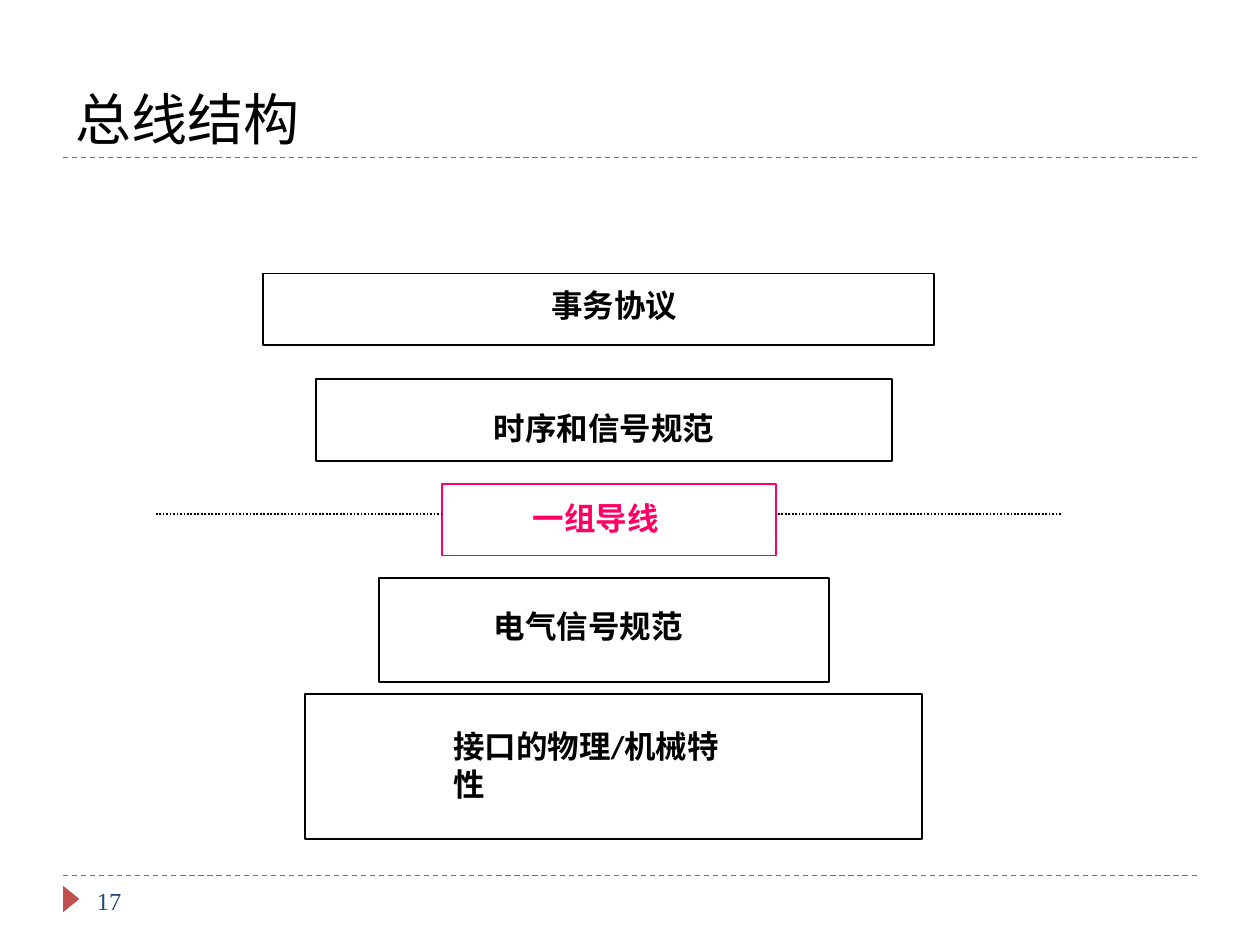
import pptx
import pptx.dml.color
import pptx.enum.dml
import pptx.enum.shapes
import pptx.enum.text
import pptx.oxml
import pptx.oxml.ns
import pptx.util
from dataclasses import dataclass

COLORS = {"black": "000000", "pink": "FF0066", "red": "C0504D", "navy": "1F497D"}
COLUMNS, ROWS = 100, 75
CELL = pptx.util.Inches(0.1)

ANCHOR = pptx.enum.text.MSO_ANCHOR
ALIGN = pptx.enum.text.PP_ALIGN
DASH = pptx.enum.dml.MSO_LINE
SHAPE = pptx.enum.shapes.MSO_SHAPE


@dataclass
class Area:
    """A rectangle in grid columns and rows."""
    column: float
    row: float
    width: float
    height: float

    def lengths(self) -> list[int]:
        return [grid(value) for value in (self.column, self.row, self.width, self.height)]


@dataclass
class Layer:
    """One layer of the bus structure: an outlined box and its label."""
    text: str
    box: Area
    label: Area
    color: str = "black"
    align: ALIGN = ALIGN.LEFT
    wrap: bool = False


@dataclass
class Rule:
    """A horizontal dashed line."""
    start: float
    end: float
    row: float
    color: str
    weight: float
    dash: DASH


LABEL_HEIGHT = 4
LAYERS = [
    Layer("事务协议", Area(20.9, 21.7, 53.2, 5.7), Area(31.5, 22.2, 34.5, LABEL_HEIGHT),
          align=ALIGN.CENTER, wrap=True),
    Layer("时序和信号规范", Area(25.1, 30.1, 45.7, 6.5), Area(38.2, 32, 19.5, LABEL_HEIGHT)),
    Layer("一组导线", Area(35.1, 38.4, 26.5, 5.7), Area(41.3, 39.1, 12, LABEL_HEIGHT), "pink"),
    Layer("电气信号规范", Area(30.1, 45.9, 35.7, 8.2), Area(38.2, 47.7, 17, LABEL_HEIGHT)),
    Layer("接口的物理/机械特性", Area(24.2, 55.1, 49, 11.5), Area(35, 57.2, 25.2, LABEL_HEIGHT),
          wrap=True),
]
RULES = [
    Rule(5, 95, 12.5, "red", 0.75, DASH.DASH),
    Rule(5, 95, 69.5, "red", 0.75, DASH.DASH),
    Rule(35.1, 12.4, 40.8, "black", 1, DASH.ROUND_DOT),
    Rule(84.2, 61.6, 40.8, "black", 1, DASH.ROUND_DOT),
]


def grid(value: float) -> int:
    return round(value * CELL)


def rgb(name: str) -> pptx.dml.color.RGBColor:
    return pptx.dml.color.RGBColor.from_string(COLORS[name])


def set_attributes(target: object, values: dict) -> None:
    for name, value in values.items():
        setattr(target, name, value)


def add_text(slide, area: Area, text: str, size: float, color: str = "black",
             font: str = "Calibri", bold: bool = False, align: ALIGN = ALIGN.LEFT,
             anchor: ANCHOR = ANCHOR.TOP, wrap: bool = True) -> None:
    frame = slide.shapes.add_textbox(*area.lengths()).text_frame
    set_attributes(frame, {"word_wrap": wrap, "vertical_anchor": anchor})
    paragraph = frame.paragraphs[0]
    paragraph.alignment = align
    run = paragraph.add_run()
    run.text = text
    set_attributes(run.font, {"name": font, "size": pptx.util.Pt(size), "bold": bold})
    run.font.color.rgb = rgb(color)


def add_rule(slide, rule: Rule) -> None:
    connector = slide.shapes.add_connector(
        pptx.enum.shapes.MSO_CONNECTOR.STRAIGHT,
        grid(rule.start), grid(rule.row), grid(rule.end), grid(rule.row))
    set_attributes(connector.line, {"width": pptx.util.Pt(rule.weight), "dash_style": rule.dash})
    connector.line.color.rgb = rgb(rule.color)
    properties = connector.element.spPr
    properties.append(pptx.oxml.parse_xml(
        f"<a:effectLst {pptx.oxml.ns.nsdecls('a')}/>"))


def add_layer(slide, layer: Layer) -> None:
    add_text(slide, layer.label, layer.text, 18, layer.color, bold=True,
             align=layer.align, wrap=layer.wrap)
    box = slide.shapes.add_shape(SHAPE.RECTANGLE, *layer.box.lengths())
    box.shadow.inherit = False
    box.fill.background()
    box.line.width = pptx.util.Pt(1)
    box.line.color.rgb = rgb(layer.color)


def add_page_marker(slide) -> None:
    marker = slide.shapes.add_shape(SHAPE.ISOSCELES_TRIANGLE,
                                    *Area(4.6, 70.7, 2.1, 1.3).lengths())
    marker.rotation = 90
    marker.shadow.inherit = False
    marker.fill.solid()
    marker.fill.fore_color.rgb = rgb("red")
    marker.line.fill.background()


def main() -> None:
    presentation = pptx.Presentation()
    set_attributes(presentation, {"slide_width": grid(COLUMNS), "slide_height": grid(ROWS)})
    slide = presentation.slides.add_slide(presentation.slide_layouts[6])

    # Title and page number
    add_text(slide, Area(5, 1.7, 90, 10.8), "总线结构", 32, anchor=ANCHOR.BOTTOM)
    add_page_marker(slide)
    add_text(slide, Area(6.7, 69.5, 21.7, 4), "17", 14, "navy", "Times New Roman",
             anchor=ANCHOR.MIDDLE)

    # Bus layers, then the rules and the dotted wires
    for layer in LAYERS:
        add_layer(slide, layer)
    for rule in RULES:
        add_rule(slide, rule)

    presentation.save("out.pptx")


if __name__ == "__main__":
    main()
